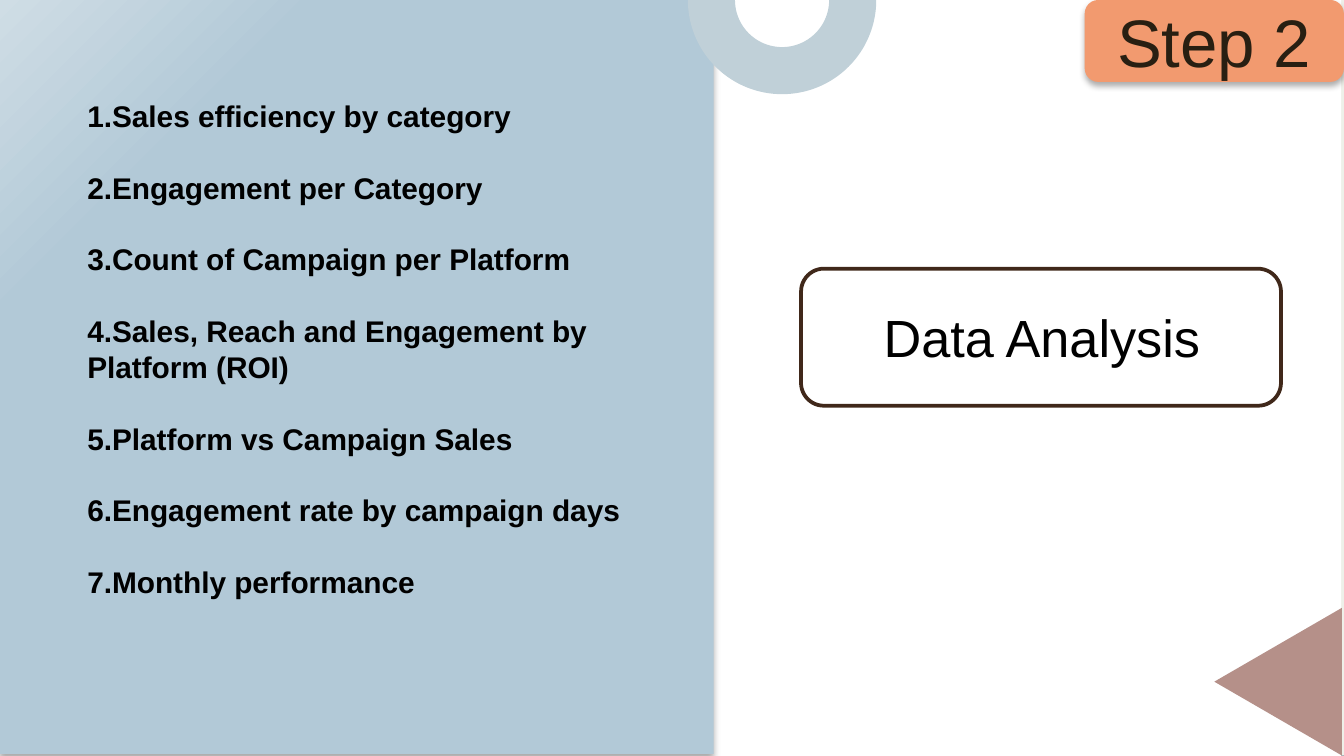
from lxml.etree import SubElement
from pptx import Presentation
from pptx.dml.color import RGBColor
from pptx.enum.shapes import MSO_SHAPE
from pptx.enum.text import MSO_ANCHOR, PP_ALIGN
from pptx.oxml.ns import qn
from pptx.util import Cm, Pt

STEP = "Step 2"
TITLE = "Data Analysis"
ANALYSES = [
    "Sales efficiency by category",
    "Engagement per Category",
    "Count of Campaign per Platform",
    "Sales, Reach and Engagement by Platform (ROI)",
    "Platform vs Campaign Sales",
    "Engagement rate by campaign days",
    "Monthly performance",
]

THEME = {
    "font": "Arial",
    "background": "899AA3", "edge": "EEF0E9", "page": "FFFFFF",
    "panel": "B2C9D7", "panel_light": "CFDDE5",
    "arc": "C0D0D8", "triangle": "B59089", "badge": "F29A6F",
    "frame": "40281A", "text": "000000", "badge_text": "281F12",
    "list_size": 16, "title_size": 28, "step_size": 36, "list_line": 19.2,
}

# left, top, width, height in cm
SLIDE_SIZE = (25.4, 14.29)
EDGE = (13.18, -0.05, 12.27, 14.33)
PAGE = (0, 0, 25.35, 14.29)
PANEL = (0, -0.03, 13.49, 14.29)
LIST = (1.4, 1.6, 11.28, 10.97)
ARC = (13, -1.78, 3.56, 3.56)
TRIANGLE = (22.76, 11.68, 2.79, 2.41)
FRAME = (15.14, 5.08, 9.07, 2.59)
TITLE_BOX = (15.88, 5.64, 7.62, 1.45)
BADGE = (20.5, 0, 4.9, 1.55)


def color(name):
    return RGBColor.from_string(THEME[name])


def add_block(slide, kind, box, fill, rotation=0):
    block = slide.shapes.add_shape(kind, *map(Cm, box))
    block.rotation = rotation
    block.shadow.inherit = False
    block.fill.solid()
    block.fill.fore_color.rgb = color(fill)
    block.line.fill.background()
    return block


def cast_shadow(block):
    """Add a soft shadow straight below the block."""
    effects = block._element.spPr.find(qn("a:effectLst"))
    shadow = SubElement(effects, qn("a:outerShdw"), blurRad=str(Pt(3.5)),
                        dist=str(Pt(2.2)), dir="5400000", rotWithShape="0")
    black = SubElement(shadow, qn("a:srgbClr"), val="000000")
    SubElement(black, qn("a:alpha"), val="32000")


def add_text_box(slide, box):
    frame = slide.shapes.add_textbox(*map(Cm, box)).text_frame
    frame.word_wrap = True
    return frame


def write(paragraph, text, size, ink="text", bold=False):
    run = paragraph.add_run()
    run.text = text
    run.font.name = THEME["font"]
    run.font.size = Pt(THEME[size])
    run.font.bold = bold
    run.font.color.rgb = color(ink)


def add_panel(slide):
    panel = add_block(slide, MSO_SHAPE.RECTANGLE, PANEL, "panel")
    panel.fill.gradient()
    panel.fill.gradient_angle = 135
    stops = [(0.78, "panel"), (1, "panel_light")]
    for stop, (position, shade) in zip(panel.fill.gradient_stops, stops):
        stop.position = position
        stop.color.rgb = color(shade)
    cast_shadow(panel)


def add_analyses(slide):
    frame = add_text_box(slide, LIST)
    frame.margin_top = frame.margin_bottom = Cm(0.25)
    for number, analysis in enumerate(ANALYSES, 1):
        item = frame.paragraphs[0] if number == 1 else frame.add_paragraph()
        item.line_spacing = item.space_after = Pt(THEME["list_line"])
        write(item, f"{number}.{analysis}", "list_size", bold=True)


def add_title(slide):
    frame = add_block(slide, MSO_SHAPE.ROUNDED_RECTANGLE, FRAME, "page")
    frame.line.color.rgb = color("frame")
    frame.line.width = Pt(2)
    title = add_text_box(slide, TITLE_BOX).paragraphs[0]
    title.alignment = PP_ALIGN.CENTER
    write(title, TITLE, "title_size")


def add_badge(slide):
    badge = add_block(slide, MSO_SHAPE.ROUNDED_RECTANGLE, BADGE, "badge")
    cast_shadow(badge)
    badge.text_frame.vertical_anchor = MSO_ANCHOR.MIDDLE
    step = badge.text_frame.paragraphs[0]
    step.alignment = PP_ALIGN.CENTER
    write(step, STEP, "step_size", "badge_text")


def main():
    deck = Presentation()
    deck.slide_width, deck.slide_height = map(Cm, SLIDE_SIZE)
    slide = deck.slides.add_slide(deck.slide_layouts[6])
    slide.background.fill.solid()
    slide.background.fill.fore_color.rgb = color("background")

    add_block(slide, MSO_SHAPE.RECTANGLE, EDGE, "edge")
    add_block(slide, MSO_SHAPE.RECTANGLE, PAGE, "page")
    add_panel(slide)
    add_analyses(slide)
    arc = add_block(slide, MSO_SHAPE.BLOCK_ARC, ARC, "arc", 180)
    for index, value in enumerate((108, 0, 0.25)):
        arc.adjustments[index] = value
    add_block(slide, MSO_SHAPE.ISOSCELES_TRIANGLE, TRIANGLE, "triangle", 270)
    add_title(slide)
    add_badge(slide)
    deck.save("out.pptx")


if __name__ == "__main__":
    main()
